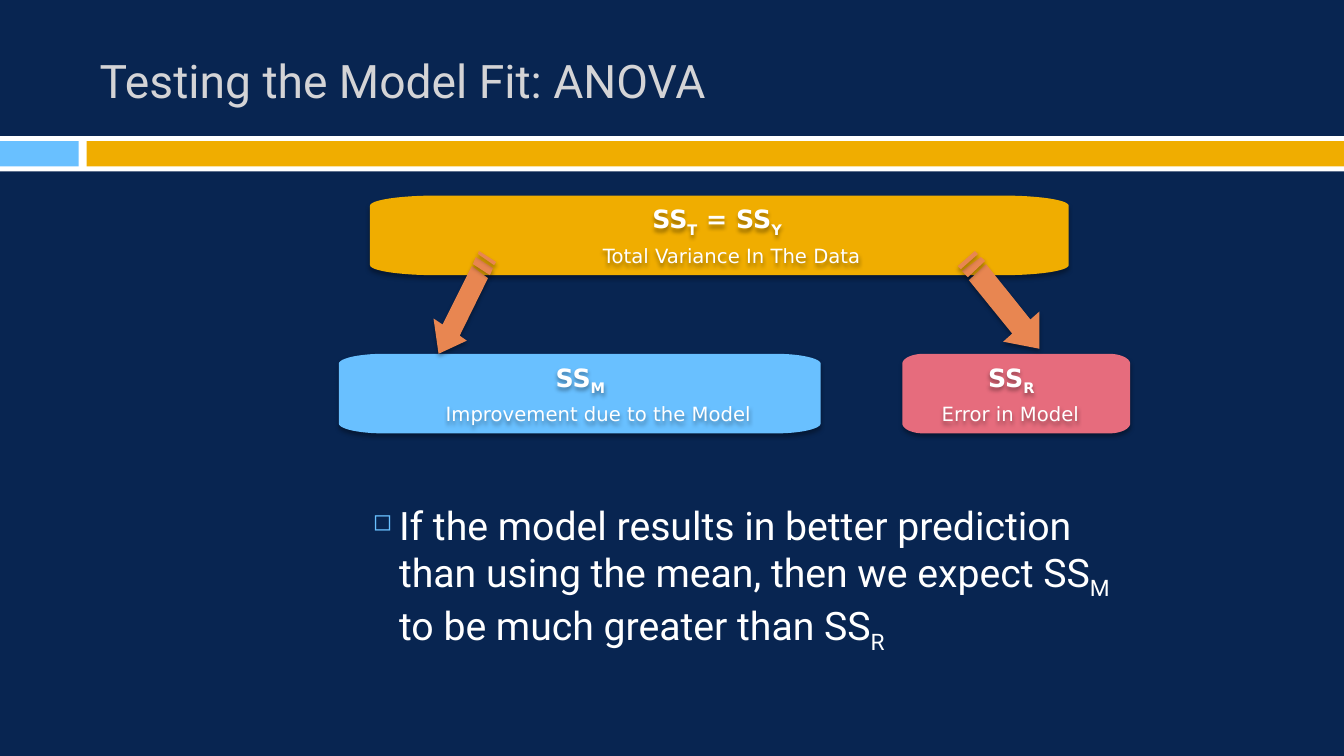
from math import cos, sin, pi
from lxml import etree
from pptx import Presentation, util as u
from pptx.dml.color import RGBColor
from pptx.enum import shapes as es, text as et
from pptx.oxml.ns import qn

WHITE, BLUE, GOLD = "FFFFFF", "69C0FF", "F0AD00"
PINK, RUST = "E66C7D", "E88651"
HEAD = dict(name="DejaVu Sans", size=u.Pt(18), bold=True)
NOTE = dict(name="DejaVu Sans", size=u.Pt(14))
TITLE = dict(name="Roboto", size=u.Pt(33))
BODY = dict(name="Roboto", size=u.Pt(28))
FLUSH = dict(margin_left=0, margin_right=0, margin_top=0, margin_bottom=0,
             word_wrap=False, auto_size=et.MSO_AUTO_SIZE.SHAPE_TO_FIT_TEXT)
LEFT = [
    [(.33, .89), (.26, .84), (.54, .27), (.38, .15), (.09, .73), (0, .67), (.05, 1.02)],
    [(.59, .17), (.42, .06), (.39, .13), (.56, .24)],
    [(.62, .11), (.45, 0), (.44, .03), (.6, .14)],
]
RIGHT = [
    [(.81, .6), (.72, .68), (.28, .13), (.11, .29), (.54, .82), (.45, .9), (.81, .97)],
    [(.23, .06), (.04, .2), (.1, .26), (.27, .1)],
    [(.17, 0), (0, .15), (.03, .18), (.2, .03)],
]


def color(code):
    return RGBColor.from_string(code)


def apply(item, form):
    for key, value in form.items():
        setattr(item, key, value)


def add(node, tag, **attrs):
    return etree.SubElement(node, qn("a:" + tag), attrs)


def paint(shape, code):
    shape.shadow.inherit = False
    shape.fill.solid()
    shape.fill.fore_color.rgb = color(code)
    shape.line.fill.background()


def shade(shape):
    shape.shadow.inherit = False
    effect = shape._element.spPr.find(qn("a:effectLst"))
    outer = add(effect, "outerShdw", blurRad=str(u.Pt(3)), dist=str(u.Pt(2)),
                dir="5400000", rotWithShape="0")
    add(add(outer, "srgbClr", val="000000"), "alpha", val="35000")


def outline(tree, points, code):
    dots = [(u.Inches(x), u.Inches(y)) for x, y in points]
    build = tree.build_freeform(*dots[0], scale=1.0)
    build.add_line_segments(dots[1:], close=True)
    shape = build.convert_to_shape()
    paint(shape, code)
    shade(shape)


def write(tree, box, words, font, frame, code=WHITE):
    shape = tree.add_textbox(*map(u.Inches, box))
    apply(shape.text_frame, frame)
    para = shape.text_frame.paragraphs[0]
    for i, part in enumerate(words.split("|")):
        if part:
            run = para.add_run()
            run.text = part
            apply(run.font, font)
            run.font.color.rgb = color(code)
            if i % 2:
                run._r.get_or_add_rPr().set("baseline", "-25000")
    return shape


def banner(tree, x, y, w, h):
    for left, top, wide, high, code in (
            (0, 0, w, h, WHITE), (0, .05, .78, .25, BLUE), (.86, .05, w - .86, .25, GOLD)):
        place = map(u.Inches, (x + left, y + top, wide, high))
        paint(tree.add_shape(es.MSO_SHAPE.RECTANGLE, *place), code)


def panel(tree, box, code, head, note):
    x, y, w, h = box
    rx, ry = .094 * w, .1
    centers = [(x + w - rx, y + h - ry), (x + rx, y + h - ry),
               (x + rx, y + ry), (x + w - rx, y + ry)]
    curve = []
    for turn, (cx, cy) in enumerate(centers):
        for step in range(13):
            angle = (turn + step / 12) * pi / 2
            curve.append((cx + rx * cos(angle), cy + ry * sin(angle)))
    group = tree.add_group_shape().shapes
    outline(group, curve, code)
    for (words, left, wide), top, high, font in (
            (head, .08, .3, HEAD), (note, .48, .24, NOTE)):
        shade(write(group, (x + left, y + top, wide, high), words, font, FLUSH))


def arrow(tree, x, y, parts):
    group = tree.add_group_shape().shapes
    for part in parts:
        outline(group, [(x + dx, y + dy) for dx, dy in part], RUST)


def body(tree, box, words):
    shape = write(tree, box, words, BODY, dict(word_wrap=True))
    props = shape.text_frame.paragraphs[0]._p.get_or_add_pPr()
    props.set("marL", str(u.Inches(.26)))
    props.set("indent", str(u.Inches(-.26)))
    add(add(props, "buClr"), "srgbClr", val=BLUE)
    add(props, "buSzPct", val="60000")
    add(props, "buChar", char="◻")


def main():
    deck = Presentation()
    apply(deck, dict(slide_width=u.Inches(13.33), slide_height=u.Inches(7.5)))
    slide = deck.slides.add_slide(deck.slide_layouts[6])
    slide.background.fill.solid()
    slide.background.fill.fore_color.rgb = color("082551")
    tree = slide.shapes
    banner(tree, 0, 1.35, 13.33, .35)
    write(tree, (.89, .25, 11.89, 1.08), "Testing the Model Fit: ANOVA", TITLE,
          dict(word_wrap=True, vertical_anchor=et.MSO_ANCHOR.MIDDLE), "D4D4D6")
    body(tree, (3.6, 4.92, 7.57, 1.78),
         "If the model results in better prediction than using the mean, "
         "then we expect SS|M| to be much greater than SS|R")
    panel(tree, (8.95, 3.51, 2.26, .79), PINK,
          ("SS|R", .85, .49), ("Error in Model", .39, 1.39))
    panel(tree, (3.36, 3.51, 4.78, .79), BLUE,
          ("SS|M", 2.15, .52), ("Improvement due to the Model", 1.06, 3.07))
    panel(tree, (3.67, 1.94, 6.93, .79), GOLD,
          ("SS|T| = SS|Y", 2.8, 1.34), ("Total Variance In The Data", 2.31, 2.62))
    arrow(tree, 4.3, 2.49, LEFT)
    arrow(tree, 9.5, 2.49, RIGHT)
    deck.save("out.pptx")


if __name__ == "__main__":
    main()
